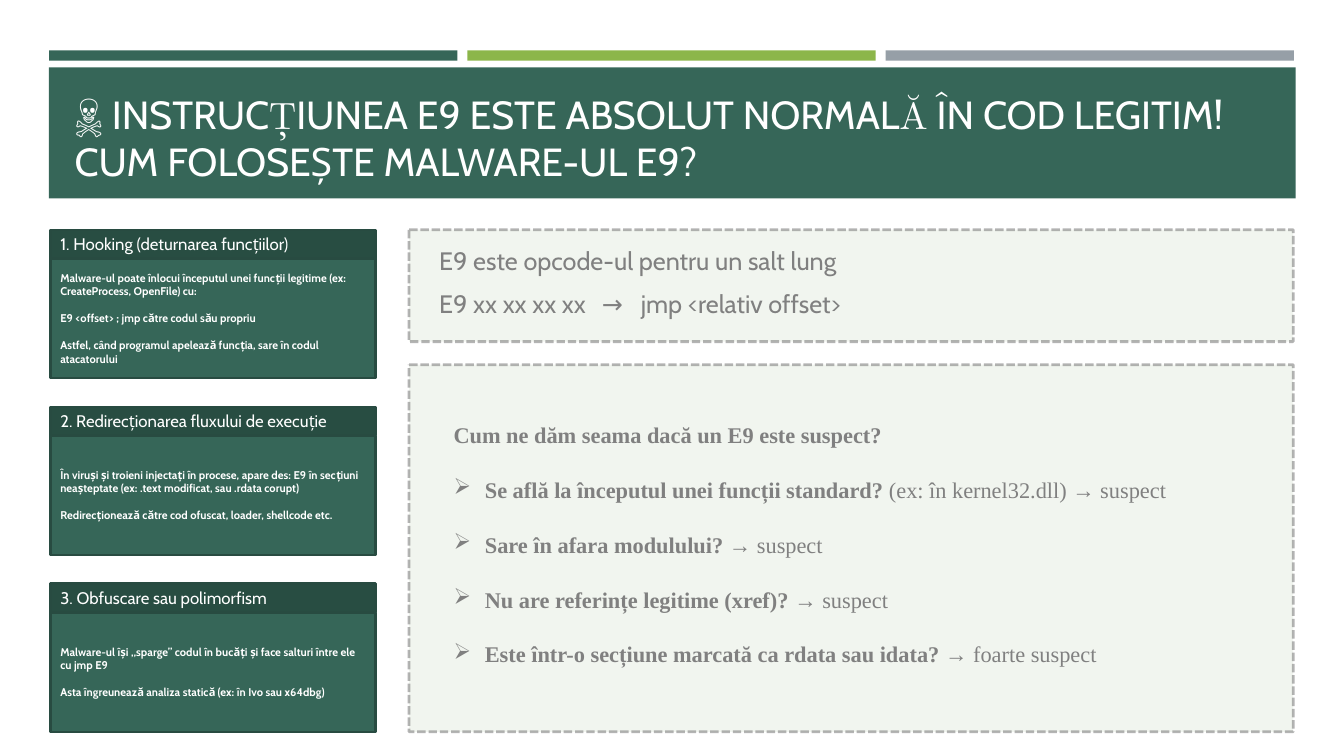
from dataclasses import dataclass

from lxml.etree import SubElement
from pptx import Presentation
from pptx.dml.color import RGBColor
from pptx.enum.dml import MSO_LINE
from pptx.enum.shapes import MSO_SHAPE
from pptx.enum.text import MSO_ANCHOR, PP_ALIGN
from pptx.oxml.ns import qn
from pptx.util import Cm, Pt


@dataclass(frozen=True)
class Theme:
    green: str = "366658"
    dark_green: str = "284D42"
    card_edge: str = "284B41"
    lime: str = "8CB64A"
    steel: str = "969FA7"
    panel: str = "548235"
    gray: str = "808080"
    white: str = "FFFFFF"
    sans: str = "Cabin"
    serif: str = "Times New Roman"
    title_size: int = 28
    lead_size: int = 18
    check_size: int = 16
    heading_size: int = 12
    body_size: int = 8


theme = Theme()
presentation = Presentation()
presentation.slide_width, presentation.slide_height = Cm(33.87), Cm(19.05)
slide = presentation.slides.add_slide(presentation.slide_layouts[6])


def add_block(left, top, width, height, fill, edge=None, weight=1.75,
              kind=MSO_SHAPE.RECTANGLE):
    block = slide.shapes.add_shape(kind, Cm(left), Cm(top), Cm(width), Cm(height))
    block.shadow.inherit = False
    block.fill.solid()
    block.fill.fore_color.rgb = RGBColor.from_string(fill)
    if edge:
        block.line.color.rgb = RGBColor.from_string(edge)
        block.line.width = Pt(weight)
    else:
        block.line.fill.background()
    return block


def write(frame, texts, size, color, font=theme.sans, bold=False, gap=0,
          anchor=MSO_ANCHOR.MIDDLE):
    frame.word_wrap = True
    frame.vertical_anchor = anchor
    for index, text in enumerate(texts):
        paragraph = frame.paragraphs[0] if index == 0 else frame.add_paragraph()
        paragraph.text = text
        paragraph.alignment = PP_ALIGN.LEFT
        if index:
            paragraph.space_before = Pt(gap)
        paragraph.font.size = Pt(size)
        paragraph.font.name = font
        paragraph.font.bold = bold
        paragraph.font.color.rgb = RGBColor.from_string(color)


# Accent bars and title band
for column, accent in enumerate((theme.green, theme.lime, theme.steel)):
    add_block(1.24 + column * 10.54, 1.27, 10.29, 0.26, accent)
add_block(1.23, 1.7, 31.42, 3.3, theme.green)
title = slide.shapes.add_textbox(Cm(1.63), Cm(1.96), Cm(30.63), Cm(2.82))
write(title.text_frame,
      ["☠️ INSTRUCȚIUNEA E9 ESTE ABSOLUT NORMALĂ ÎN COD LEGITIM!\v"
       "CUM FOLOSEȘTE MALWARE-UL E9?"],
      theme.title_size, theme.white, anchor=MSO_ANCHOR.BOTTOM)

# Dashed translucent panels
for top, height in ((5.79, 2.82), (9.19, 9.25)):
    panel = add_block(10.31, top, 22.28, height, theme.panel, theme.gray, 2,
                      MSO_SHAPE.FLOWCHART_PROCESS)
    panel.line.dash_style = MSO_LINE.SQUARE_DOT
    fill_color, line_color = panel._element.spPr.iter(qn("a:srgbClr"))
    SubElement(fill_color, qn("a:alpha"), val="8000")
    SubElement(line_color, qn("a:alpha"), val="59000")

# Technique cards
techniques = (
    ("1. Hooking (deturnarea funcțiilor)",
     ["Malware-ul poate înlocui începutul unei funcții legitime "
      "(ex: CreateProcess, OpenFile) cu:",
      "E9 <offset> ; jmp către codul său propriu",
      "Astfel, când programul apelează funcția, sare în codul atacatorului"]),
    ("2. Redirecționarea fluxului de execuție",
     ["În viruși și troieni injectați în procese, apare des: E9 în secțiuni "
      "neașteptate (ex: .text modificat, sau .rdata corupt)",
      "Redirecționează către cod ofuscat, loader, shellcode etc."]),
    ("3. Obfuscare sau polimorfism",
     ["Malware-ul își „sparge” codul în bucăți și face salturi între ele cu jmp E9",
      "Asta îngreunează analiza statică (ex: în Ivo sau x64dbg)"]),
)
for row, (heading, details) in enumerate(techniques):
    top = 5.79 + row * 4.46
    body = add_block(1.27, top + 0.72, 8.2, 3.02, theme.green, theme.card_edge)
    write(body.text_frame, details, theme.body_size, theme.white, bold=True, gap=9.7)
    header = add_block(1.27, top, 8.2, 0.72, theme.dark_green, theme.card_edge)
    write(header.text_frame, [heading], theme.heading_size, theme.white)

# Checks for a suspicious E9
checks = (
    ("Se află la începutul unei funcții standard?", " (ex: în kernel32.dll) → suspect"),
    ("Sare în afara modulului?", " → suspect"),
    ("Nu are referințe legitime (xref)?", " → suspect"),
    ("Este într-o secțiune marcată ca rdata sau idata?", " → foarte suspect"),
)
checklist = slide.shapes.add_textbox(Cm(11.18), Cm(10.39), Cm(18.64), Cm(7.19)).text_frame
checklist.margin_top = Cm(0.22)
write(checklist, ["Cum ne dăm seama dacă un E9 este suspect?"], theme.check_size,
      theme.gray, theme.serif, bold=True, anchor=MSO_ANCHOR.TOP)
for question, verdict in checks:
    check = checklist.add_paragraph()
    check.space_before = Pt(20)
    properties = check._p.get_or_add_pPr()
    properties.set("marL", str(Cm(0.79)))
    properties.set("indent", str(-Cm(0.79)))
    SubElement(properties, qn("a:buChar"), char="➢")
    check.font.size = Pt(theme.check_size)
    check.font.name = theme.serif
    check.font.color.rgb = RGBColor.from_string(theme.gray)
    for text, bold in ((question, True), (verdict, False)):
        run = check.add_run()
        run.text = text
        run.font.bold = bold

# Opcode explanation
opcode_lines = ("E9 este opcode-ul pentru un salt lung",
                "E9 xx xx xx xx\t→\tjmp <relativ offset>")
for row, line in enumerate(opcode_lines):
    opcode = slide.shapes.add_textbox(Cm(10.82), Cm(6.05 + row * 1.09), Cm(16.94), Cm(1.02))
    if "\t" in line:
        stops = SubElement(opcode.text_frame.paragraphs[0]._p.get_or_add_pPr(), qn("a:tabLst"))
        for position in (4.1, 5.08):
            SubElement(stops, qn("a:tab"), pos=str(Cm(position)), algn="l")
    write(opcode.text_frame, [line], theme.lead_size, theme.gray, anchor=MSO_ANCHOR.TOP)

presentation.save("out.pptx")
